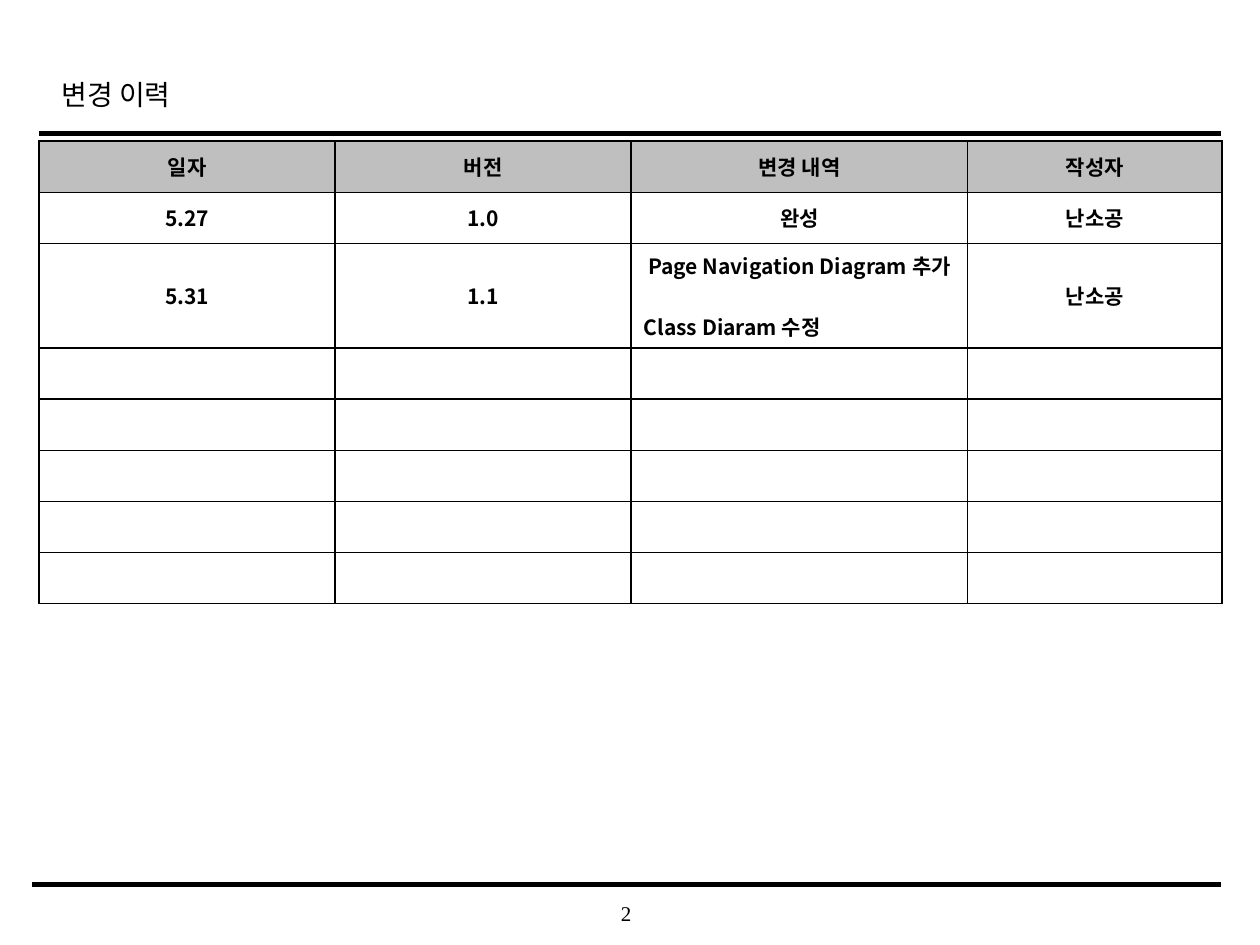
from lxml import etree
from pptx import Presentation, util as u
from pptx.dml.color import RGBColor
from pptx.enum import shapes, text
from pptx.oxml.ns import qn

INK = {"black": "000000", "head": "BFBFBF", "white": "FFFFFF"}
SANS, SERIF = "Noto Sans CJK KR", "Times New Roman"
MID = text.PP_ALIGN.CENTER


def color(name):
    """Return the named colour."""
    return RGBColor.from_string(INK[name])


class Page:
    """Holds the current slide and its style."""

    def __init__(self, deck):
        """Add a blank slide to the deck."""
        self.slide = deck.slides.add_slide(deck.slide_layouts[6])
        self.wide, self.high = deck.slide_width, deck.slide_height

    def spot(self, x, y):
        """Turn shares of the slide into lengths."""
        return u.Emu(round(x * self.wide)), u.Emu(round(y * self.high))

    def style(self, para, size, face, bold=False):
        """Format the runs of a paragraph."""
        for run in para.runs:
            font = run.font
            font.size, font.name, font.bold = u.Pt(size), face, bold
            font.color.rgb = color("black")
            east = etree.SubElement(run._r.get_or_add_rPr(), qn("a:ea"))
            east.set("typeface", SANS)

    def label(self, words, x, y, w, h, size, align=None, space=None, inset=0):
        """Add a line of text in a box."""
        box = self.slide.shapes.add_textbox(*self.spot(x, y), *self.spot(w, h))
        frame = box.text_frame
        frame.text, frame.word_wrap = words, True
        frame.vertical_anchor = text.MSO_ANCHOR.MIDDLE
        frame.margin_left = frame.margin_right = u.Inches(inset)
        frame.margin_top = frame.margin_bottom = u.Inches(inset / 2)
        para = frame.paragraphs[0]
        para.alignment, para.line_spacing = align, space
        self.style(para, size, SERIF)

    def rule(self, left, right, y, width):
        """Draw a level line."""
        line = self.slide.shapes.add_connector(
            shapes.MSO_CONNECTOR.STRAIGHT, *self.spot(left, y), *self.spot(right, y))
        line.line.color.rgb, line.line.width = color("black"), u.Pt(width)
        etree.SubElement(line._element.spPr, qn("a:effectLst"))

    def edge(self, cell):
        """Give a cell four thin borders, placed before its fill."""
        props = cell._tc.get_or_add_tcPr()
        for i, side in enumerate(("lnL", "lnR", "lnT", "lnB")):
            line = etree.Element(qn("a:" + side), w=str(u.Pt(1)))
            fill = etree.SubElement(line, qn("a:solidFill"))
            etree.SubElement(fill, qn("a:srgbClr"), val=INK["black"])
            props.insert(i, line)

    def fill(self, cell, words, shade):
        """Write and format one table cell."""
        frame = cell.text_frame
        frame.text = words
        cell.vertical_anchor = text.MSO_ANCHOR.MIDDLE
        cell.fill.solid()
        cell.fill.fore_color.rgb = color(shade)
        self.edge(cell)
        for i, para in enumerate(frame.paragraphs):
            para.alignment = text.PP_ALIGN.LEFT if i else MID
            para.space_before = u.Pt(17.4 if i else 0)
            self.style(para, 12, SANS, True)
            if not words:
                etree.SubElement(para._p, qn("a:endParaRPr"), sz="1200")

    def table(self, rows, x, y, cols, highs):
        """Add a table with a shaded first row."""
        size = self.spot(sum(cols), sum(highs))
        grid = self.slide.shapes.add_table(
            len(rows), len(cols), *self.spot(x, y), *size).table
        for col, w in zip(grid.columns, cols):
            col.width = self.spot(w, 0)[0]
        for r, (row, h) in enumerate(zip(rows, highs)):
            grid.rows[r].height = self.spot(0, h)[1]
            for c, words in enumerate(row):
                self.fill(grid.cell(r, c), words, "white" if r else "head")


def main():
    """Build the change history slide."""
    deck = Presentation()
    deck.slide_width, deck.slide_height = u.Inches(10), u.Inches(7.5)
    page = Page(deck)
    page.label("2", 3.93 / 10, 7.08 / 7.5, 2.08 / 10, 0.33 / 7.5, 12, MID)
    page.rule(0.31 / 10, 9.69 / 10, 1.06 / 7.5, 2.5)
    page.rule(0.25 / 10, 9.69 / 10, 7.02 / 7.5, 3)
    page.label("변경 이력", 0.39 / 10, 0.47 / 7.5, 7.55 / 10, 0.5 / 7.5, 16,
               space=1.2, inset=0.1)
    rows = [("일자", "버전", "변경 내역", "작성자"),
            ("5.27", "1.0", "완성", "난소공"),
            ("5.31", "1.1", "Page Navigation Diagram 추가\nClass Diaram 수정", "난소공")]
    rows += [("",) * 4] * 5
    highs = [(0.83 if r == 2 else 0.406) / 7.5 for r in range(len(rows))]
    cols = [w / 10 for w in (2.35, 2.35, 2.67, 2.02)]
    page.table(rows, 0.31 / 10, 1.12 / 7.5, cols, highs)
    deck.save("out.pptx")


main()
